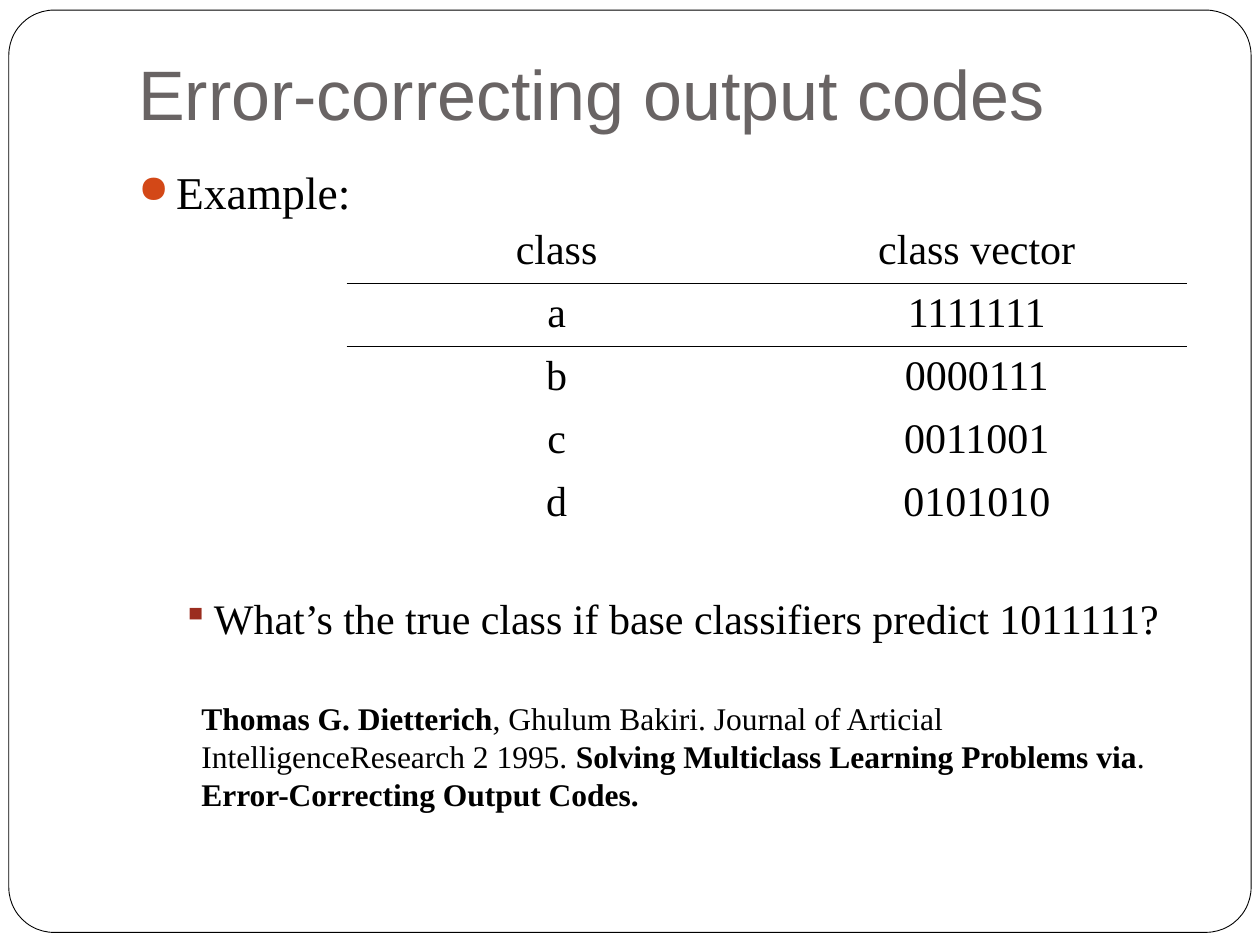
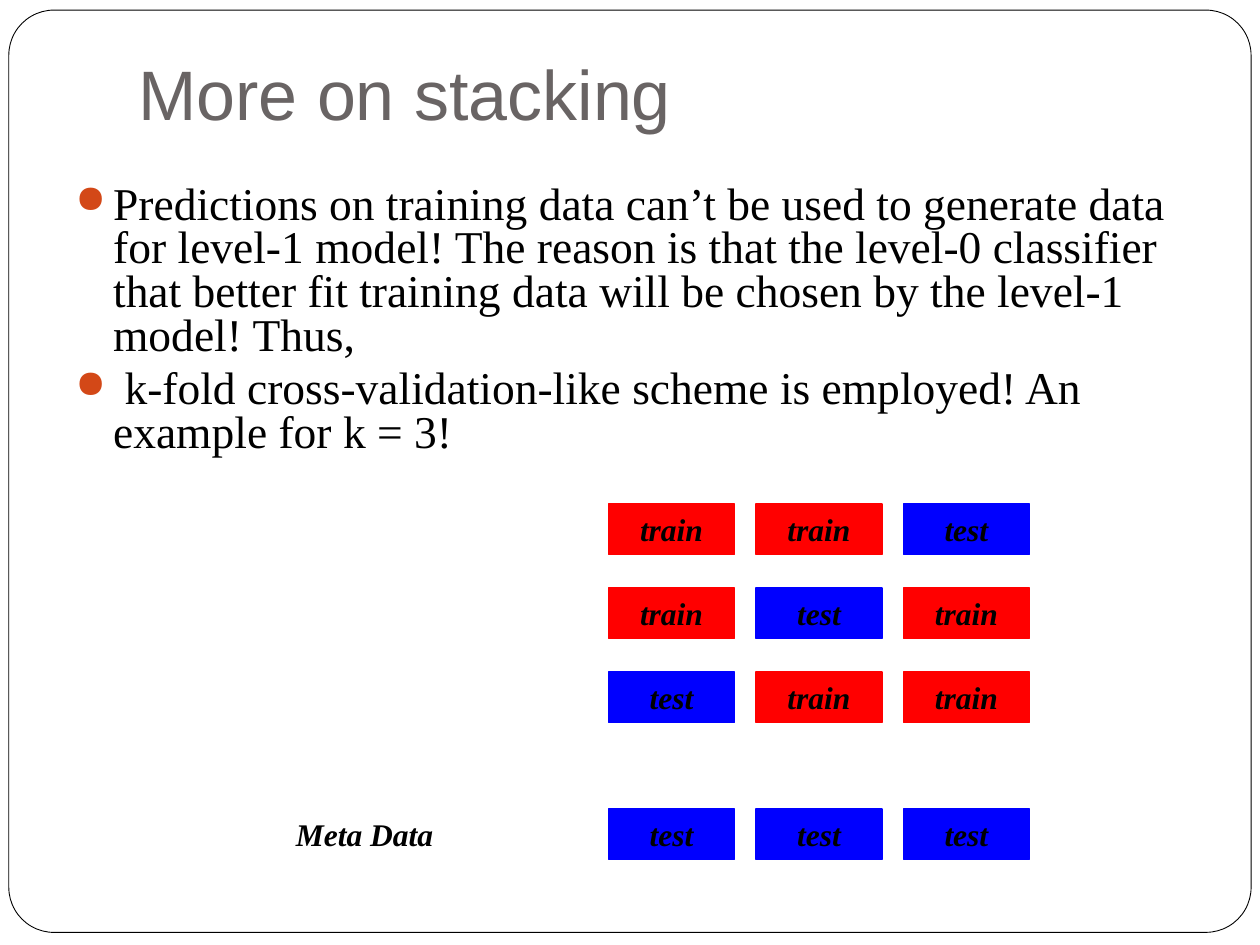
from lxml import etree
from pptx import Presentation, oxml
from pptx.dml import color
from pptx.enum import shapes, text
from pptx.oxml import ns
from pptx.util import Inches, Pt

BLACK, WHITE, GREY = "000000", "FFFFFF", "696464"
ORANGE, BRICK = "D34817", "9B2D1F"
FOLD_COLOURS = {"train": "FF0000", "test": "0000FF"}
BULLETS = {"●": (ORANGE, 0.3, 0.3), "▪": (BRICK, 0.6, 0.25)}
NO_TABLE_STYLE = "{2D5ABB26-0587-4C30-8999-92F81FD0307C}"
CENTER = text.PP_ALIGN.CENTER


def rgb(value):
    return color.RGBColor.from_string(value)


def apply(target, values):
    for name, value in values.items():
        setattr(target, name, value)


class Deck:
    title_font = {"name": "Arial", "size": Pt(40)}
    body_font = {"name": "Times New Roman", "size": Pt(26)}
    table_font = {**body_font, "size": Pt(24)}
    small_font = {**body_font, "size": Pt(18)}
    label_font = {**small_font, "bold": True, "italic": True}

    def __init__(self):
        self.presentation = Presentation()
        apply(self.presentation, {"slide_width": Inches(10), "slide_height": Inches(7.5)})
        self.slide = None
        self.canvas = None

    def new_slide(self, title):
        self.slide = self.presentation.slides.add_slide(self.presentation.slide_layouts[6])
        self.canvas = self.slide.shapes
        frame = self.box((0.07, 0.08, 9.86, 7.32), WHITE, BLACK, 0.5,
                         shapes.MSO_SHAPE.ROUNDED_RECTANGLE)
        frame.adjustments[0] = 0.049
        self.text_box((1, 0.3, 8.5, 0.87), [(title, {})], self.title_font, GREY,
                      {"vertical_anchor": text.MSO_ANCHOR.BOTTOM, "margin_bottom": Inches(0.1)})

    def start_group(self):
        self.canvas = self.slide.shapes.add_group_shape().shapes

    def box(self, place, fill, line, width, kind=shapes.MSO_SHAPE.RECTANGLE):
        shape = self.canvas.add_shape(kind, *map(Inches, place))
        shape.shadow.inherit = False
        shape.fill.solid()
        shape.fill.fore_color.rgb = rgb(fill)
        shape.line.color.rgb = rgb(line)
        shape.line.width = Pt(width)
        return shape

    def add_runs(self, paragraph, runs, font, colour=BLACK):
        for words, changes in runs:
            run = paragraph.add_run()
            run.text = words
            apply(run.font, {**font, **changes})
            run.font.color.rgb = rgb(colour)

    def text_box(self, place, runs, font, colour=BLACK, frame_format=None):
        frame = self.canvas.add_textbox(*map(Inches, place)).text_frame
        apply(frame, {"word_wrap": True, **(frame_format or {})})
        self.add_runs(frame.paragraphs[0], runs, font, colour)

    def bullet_list(self, place, items):
        frame = self.canvas.add_textbox(*map(Inches, place)).text_frame
        frame.word_wrap = True
        for index, (mark, words, font, spacing) in enumerate(items):
            paragraph = frame.add_paragraph() if index else frame.paragraphs[0]
            apply(paragraph, spacing)
            self.add_runs(paragraph, [(words, {})], font)
            self.add_bullet(paragraph, mark)

    def add_bullet(self, paragraph, mark):
        colour, margin, hanging = BULLETS[mark]
        properties = paragraph._p.get_or_add_pPr()
        properties.set("marL", str(Inches(margin)))
        properties.set("indent", str(-Inches(hanging)))
        bullet_colour = etree.SubElement(properties, ns.qn("a:buClr"))
        etree.SubElement(bullet_colour, ns.qn("a:srgbClr"), val=colour)
        etree.SubElement(properties, ns.qn("a:buSzPct"), val="85000")
        etree.SubElement(properties, ns.qn("a:buChar"), char=mark)

    def fold_block(self, left, top, role):
        colour = FOLD_COLOURS[role]
        block = self.box((left, top, 1, 0.4), colour, colour, 0.75)
        frame = block.text_frame
        apply(frame, {"word_wrap": True, "vertical_anchor": text.MSO_ANCHOR.TOP})
        frame.paragraphs[0].alignment = CENTER
        self.add_runs(frame.paragraphs[0], [(role, {})], self.label_font)

    def table(self, place, rows):
        table = self.canvas.add_table(len(rows), len(rows[0]), *map(Inches, place)).table
        apply(table, {"first_row": False, "horz_banding": False})
        table._tbl.tblPr.find(ns.qn("a:tableStyleId")).text = NO_TABLE_STYLE
        for row_index, values in enumerate(rows):
            for column_index, value in enumerate(values):
                cell = table.cell(row_index, column_index)
                cell.fill.background()
                paragraph = cell.text_frame.paragraphs[0]
                apply(paragraph, {"alignment": CENTER, "space_before": Pt(6)})
                self.add_runs(paragraph, [(value, {})], self.table_font)
                if row_index < 2:
                    self.rule(cell, ("a:lnB", "a:lnT")[row_index])

    def rule(self, cell, side):
        border = oxml.parse_xml(
            f'<{side} {ns.nsdecls("a")} w="{Pt(0.45)}"><a:solidFill>'
            f'<a:srgbClr val="{BLACK}"/></a:solidFill></{side}>')
        cell._tc.get_or_add_tcPr().insert(0, border)


def output_codes(deck):
    deck.new_slide("Error-correcting output codes")
    deck.bullet_list((1, 1.25, 8.5, 5.33), [
        ("●", "Example:", deck.body_font, {"space_before": Pt(5.8)}),
        ("▪", "What’s the true class if base classifiers predict 1011111?",
         deck.table_font, {"space_before": Pt(214)}),
    ])
    deck.table((2.75, 1.75, 6.67, 2.5), [
        ("class", "class vector"),
        ("a", "1111111"),
        ("b", "0000111"),
        ("c", "0011001"),
        ("d", "0101010"),
    ])
    bold = {"bold": True}
    deck.text_box((1.5, 5.5, 7.75, 1), [
        ("Thomas G. Dietterich", bold),
        (", Ghulum Bakiri. Journal of Articial IntelligenceResearch 2 1995. ", {}),
        ("Solving Multiclass Learning Problems via", bold),
        (". ", {}),
        ("Error-Correcting Output Codes.", bold),
    ], deck.small_font)


def stacking(deck):
    deck.new_slide("More on stacking")
    spacing = {"line_spacing": 0.8, "space_before": Pt(5.8)}
    deck.bullet_list((0.5, 1.42, 9, 2.42), [
        ("●", "Predictions on training data can’t be used to generate data for level-1 model! "
         "The reason is that the level-0 classifier that better fit training data will be "
         "chosen by the level-1 model! Thus,", deck.body_font, spacing),
        ("●", " k-fold cross-validation-like scheme is employed! An example for k = 3!",
         deck.body_font, spacing),
    ])
    folds = 3
    rows = [(4 + fold * 2 / 3,
             ["test" if column == folds - 1 - fold else "train" for column in range(folds)])
            for fold in range(folds)]
    meta_top = 6.42
    for top, roles in rows + [(meta_top, ["test"] * folds)]:
        deck.start_group()
        for column, role in enumerate(roles):
            deck.fold_block(4.83 + column * 1.17, top, role)
    deck.text_box((2.25, meta_top, 2.25, 0.4), [("Meta Data", {})], deck.label_font)


def main():
    deck = Deck()
    output_codes(deck)
    stacking(deck)
    deck.presentation.save("out.pptx")


if __name__ == "__main__":
    main()
